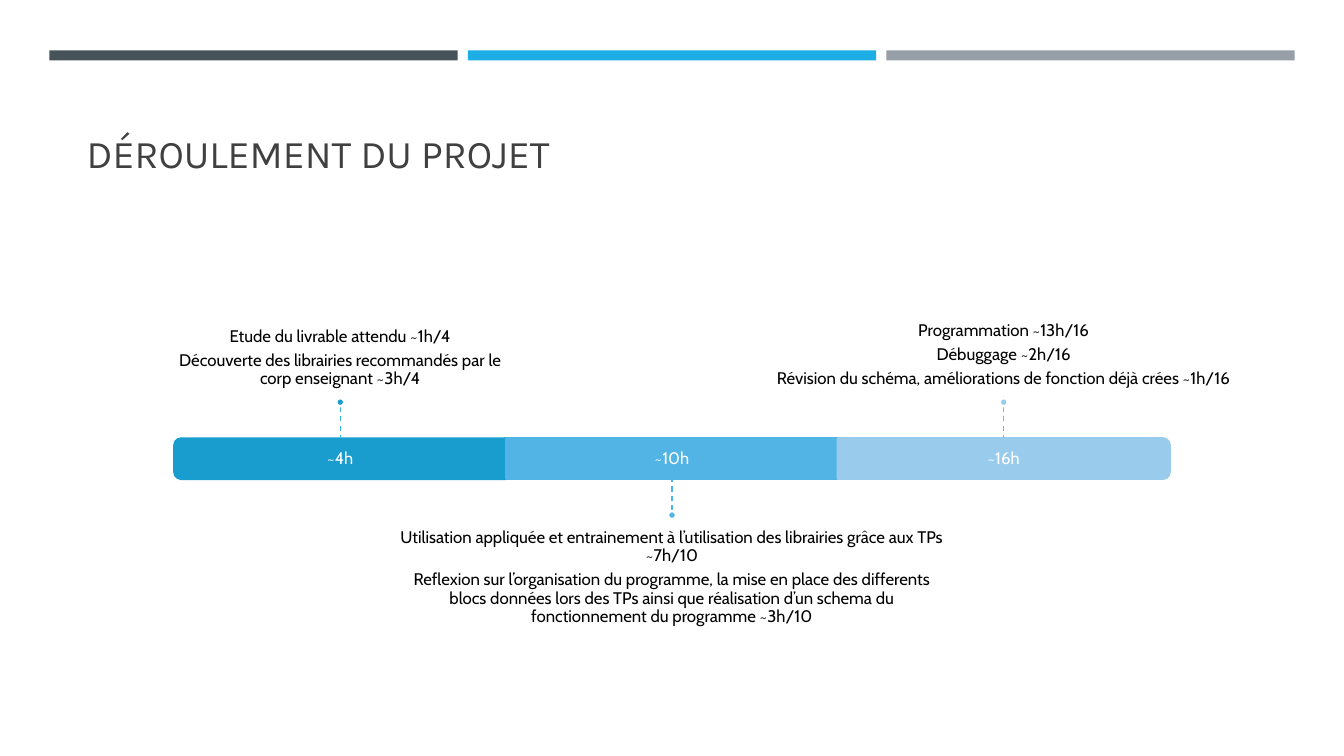
from dataclasses import dataclass

from lxml.etree import SubElement
from pptx import Presentation
from pptx.dml.color import RGBColor
from pptx.enum.dml import MSO_LINE
from pptx.enum.shapes import MSO_CONNECTOR, MSO_SHAPE
from pptx.enum.text import MSO_ANCHOR, PP_ALIGN
from pptx.oxml.ns import qn
from pptx.util import Emu, Pt


@dataclass(frozen=True)
class Theme:
    """Colours, fonts and type sizes of the slide."""
    heading_font: str = "Karla"
    body_font: str = "Cabin"
    heading_size: int = 28
    body_size: int = 12
    heading: str = "404040"
    text: str = "000000"
    white: str = "FFFFFF"
    bands: tuple = ("465359", "1CADE4", "969FA7")
    phases: tuple = ("199DCF", "52B3E5", "99CBEC")
    stems: tuple = ("36B3E9", "48B8EC", "5ABEEF")


@dataclass(frozen=True)
class Phase:
    """One stretch of the project with its tasks."""
    duration: str
    tasks: tuple
    note_width: int
    above: bool
    rotation: int
    outline: MSO_SHAPE


THEME = Theme()
PHASES = (
    Phase("~4h", (
        "Etude du livrable attendu ~1h/4",
        "Découverte des librairies recommandés par le corp enseignant ~3h/4",
    ), 347, True, 270, MSO_SHAPE.ROUND_2_SAME_RECTANGLE),
    Phase("~10h", (
        "Utilisation appliquée et entrainement à l’utilisation des librairies "
        "grâce aux TPs ~7h/10",
        "Reflexion sur l’organisation du programme, la mise en place des "
        "differents blocs données lors des TPs ainsi que réalisation d’un "
        "schema du fonctionnement du programme ~3h/10",
    ), 548, False, 0, MSO_SHAPE.RECTANGLE),
    Phase("~16h", (
        "Programmation ~13h/16",
        "Débuggage ~2h/16",
        "Révision du schéma, améliorations de fonction déjà crées ~1h/16",
    ), 548, True, 90, MSO_SHAPE.ROUND_2_SAME_RECTANGLE),
)
STEM, DOT, NOTE_HEIGHT, INSET = 32, 8, 139, 10


def px(length):
    """Turn px, a hundred to the inch, into EMU."""
    return Emu(round(length * 9144))


def write(frame, paragraphs, *, font=THEME.body_font, size=THEME.body_size,
          color=THEME.text, align=PP_ALIGN.CENTER, anchor=MSO_ANCHOR.MIDDLE,
          insets=(0, 0, 0, 0), line_spacing=0.9, space_after=4.2):
    """Fill a text frame with formatted paragraphs."""
    frame.word_wrap = True
    frame.vertical_anchor = anchor
    (frame.margin_left, frame.margin_top,
     frame.margin_right, frame.margin_bottom) = map(px, insets)
    for index, content in enumerate(paragraphs):
        paragraph = frame.add_paragraph() if index else frame.paragraphs[0]
        paragraph.alignment = align
        paragraph.line_spacing = line_spacing
        paragraph.space_after = Pt(space_after)
        run = paragraph.add_run()
        run.text = content
        run.font.name = font
        run.font.size = Pt(size)
        run.font.color.rgb = RGBColor.from_string(color)


def add_block(slide, outline, box, fill, line=None, rotation=0):
    """Add a filled preset shape."""
    block = slide.shapes.add_shape(outline, *map(px, box))
    block.shadow.inherit = False
    block.rotation = rotation
    block.fill.solid()
    block.fill.fore_color.rgb = RGBColor.from_string(fill)
    if line:
        block.line.color.rgb = RGBColor.from_string(line)
        block.line.width = Pt(1.75)
    else:
        block.line.fill.background()


def add_text(slide, box, paragraphs, **style):
    """Add a text box."""
    write(slide.shapes.add_textbox(*map(px, box)).text_frame, paragraphs, **style)


def add_stem(slide, x, start, end, color):
    """Add a vertical dashed line."""
    stem = slide.shapes.add_connector(
        MSO_CONNECTOR.STRAIGHT, *map(px, (x, start, x, end)))
    stem.line.color.rgb = RGBColor.from_string(color)
    stem.line.width = Pt(1)
    stem.line.dash_style = MSO_LINE.DASH
    SubElement(stem.element.spPr, qn("a:effectLst"))


def add_bands(slide, box, gap=10):
    """Draw the coloured bands across the top."""
    left, top, width, height = box
    band_width = (width - gap * (len(THEME.bands) - 1)) / len(THEME.bands)
    for index, color in enumerate(THEME.bands):
        x = left + index * (band_width + gap)
        add_block(slide, MSO_SHAPE.RECTANGLE, (x, top, band_width, height), color)


def add_title(slide, box, heading):
    """Place and fill the title placeholder."""
    title = slide.shapes.title
    title.left, title.top, title.width, title.height = map(px, box)
    write(title.text_frame, [heading], font=THEME.heading_font,
          size=THEME.heading_size, color=THEME.heading, align=PP_ALIGN.LEFT,
          anchor=MSO_ANCHOR.BOTTOM, insets=(INSET, 5, INSET, 5),
          line_spacing=1.0, space_after=0)


def add_phase(slide, box, phase, color, stem_color):
    """Draw one bar segment with its duration, stem, dot and tasks."""
    left, top, width, height = box
    center, middle = left + width / 2, top + height / 2
    if phase.rotation:
        bar = (center - height / 2, middle - width / 2, height, width)
    else:
        bar = box
    add_block(slide, phase.outline, bar, color, color, phase.rotation)
    add_text(slide, box, [phase.duration], color=THEME.white, insets=(INSET,) * 4)
    if phase.above:
        edge, tip = top, top - STEM
        dot_top, note_top = tip - DOT, tip - DOT - NOTE_HEIGHT
        anchor, insets = MSO_ANCHOR.BOTTOM, (0, 0, 0, INSET)
    else:
        edge = top + height
        tip = dot_top = edge + STEM
        note_top = tip + DOT
        anchor, insets = MSO_ANCHOR.TOP, (0, INSET, 0, 0)
    note = (center - phase.note_width / 2, note_top, phase.note_width, NOTE_HEIGHT)
    add_text(slide, note, phase.tasks, anchor=anchor, insets=insets)
    add_stem(slide, center, tip, edge, stem_color)
    add_block(slide, MSO_SHAPE.OVAL, (center - DOT / 2, dot_top, DOT, DOT),
              color, THEME.white)


def add_timeline(slide, box):
    """Divide the timeline bar evenly among the phases."""
    left, top, width, height = box
    segment = width / len(PHASES)
    for index, (phase, color, stem_color) in enumerate(
            zip(PHASES, THEME.phases, THEME.stems)):
        add_phase(slide, (left + index * segment, top, segment, height),
                  phase, color, stem_color)


def main():
    """Build and save the project timeline slide."""
    deck = Presentation()
    deck.slide_width, deck.slide_height = px(1333), px(750)
    slide = deck.slides.add_slide(deck.slide_layouts[5])
    add_bands(slide, (49, 50, 1235, 10))
    add_title(slide, (76, 50, 1206, 130), "DÉROULEMENT DU PROJET")
    add_timeline(slide, (173, 435, 987, 40))
    deck.save("out.pptx")


if __name__ == "__main__":
    main()
